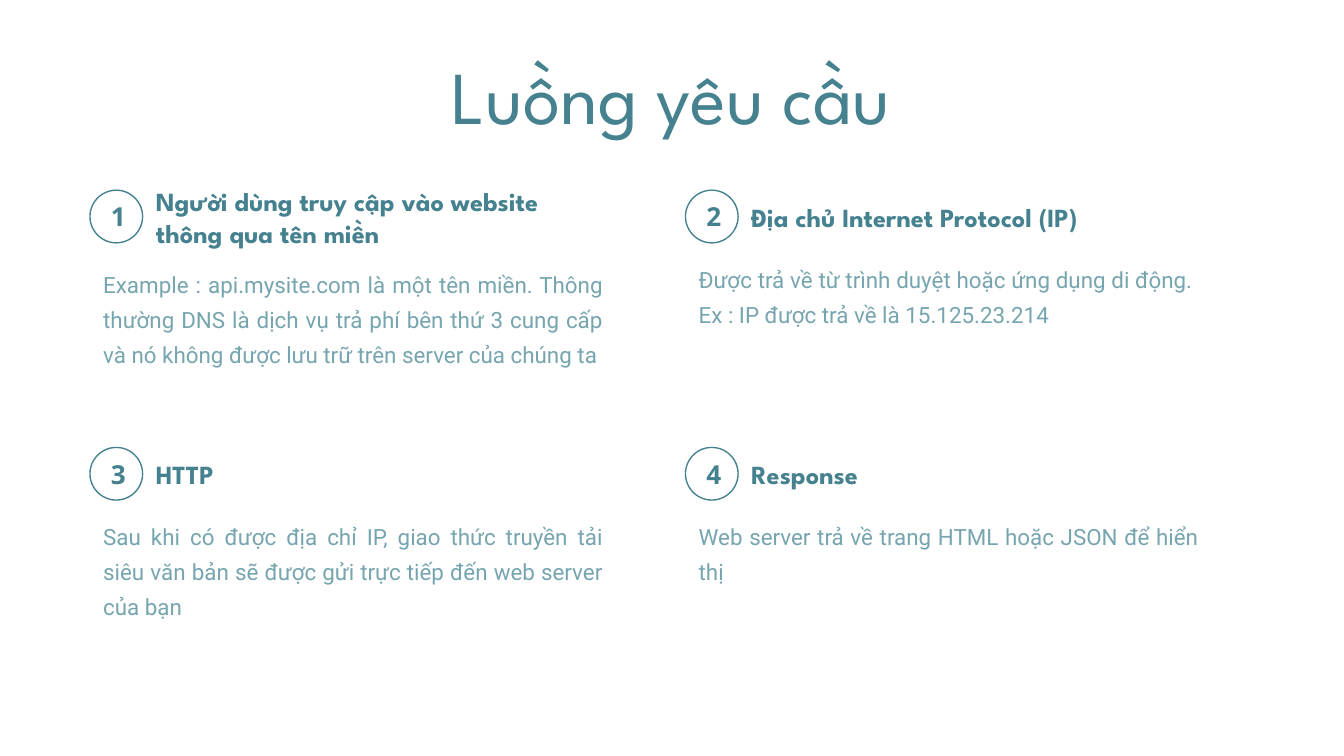
from pptx import Presentation
from pptx.dml.color import RGBColor
from pptx.enum.shapes import MSO_SHAPE
from pptx.enum.text import MSO_ANCHOR, PP_ALIGN
from pptx.util import Pt

# Content: heading, body, extra drop of the body
TITLE = "Luồng yêu cầu"
STEPS = [
    ("Người dùng truy cập vào website thông qua tên miền",
     "Example : api.mysite.com là một tên miền. Thông thường DNS là dịch vụ "
     "trả phí bên thứ 3 cung cấp và nó không được lưu trữ trên server của chúng ta", 3),
    ("Địa chủ Internet Protocol (IP)",
     "Được trả về từ trình duyệt hoặc ứng dụng di động. \v"
     "Ex : IP được trả về là 15.125.23.214", 0),
    ("HTTP",
     "Sau khi có được địa chỉ IP, giao thức truyền tải siêu văn bản sẽ được "
     "gửi trực tiếp đến web server của bạn", 0),
    ("Response", "Web server trả về trang HTML hoặc JSON để hiển thị", 0),
]

DARK = RGBColor(0x45, 0x81, 0x8E)
LIGHT = RGBColor(0x76, 0xA5, 0xAF)
WHITE = RGBColor(0xFF, 0xFF, 0xFF)

# Grid
LEFT, TOP = 48.2, 101.9
COL, ROW = 319, 137.8
RING = 28.2

deck = Presentation()
deck.slide_width, deck.slide_height = Pt(720), Pt(405)
slide = deck.slides.add_slide(deck.slide_layouts[6])
slide.background.fill.solid()
slide.background.fill.fore_color.rgb = WHITE


def write(shape, text, size, face, color, align, anchor, bold=False):
    frame = shape.text_frame
    frame.text = text
    frame.word_wrap = True
    frame.vertical_anchor = anchor
    frame.margin_left = frame.margin_right = Pt(7.2)
    frame.margin_top = frame.margin_bottom = Pt(7.2)
    para = frame.paragraphs[0]
    para.alignment = align
    for run in para.runs:
        font = run.font
        font.size, font.name, font.bold = Pt(size), face, bold
        font.color.rgb = color
    return para


def add_box(x, y, wide, high):
    return slide.shapes.add_textbox(Pt(x), Pt(y), Pt(wide), Pt(high))


# Title
write(add_box(40.3, 11.5, 638.6, 70.6), TITLE, 40, "League Spartan", DARK,
      PP_ALIGN.CENTER, MSO_ANCHOR.BOTTOM)

# Steps: body, heading and numbered ring
for i, (head, body, drop) in enumerate(STEPS):
    x = LEFT + i % 2 * COL
    y = TOP + i // 2 * ROW

    para = write(add_box(x, y + 29 + drop, 282.2, 101.5), body, 12, "Roboto",
                 LIGHT, PP_ALIGN.JUSTIFY, MSO_ANCHOR.TOP)
    para.line_spacing = 1.3

    write(add_box(x + RING, y - 0.4, 229.7, 29.5), head, 14, "League Spartan",
          DARK, PP_ALIGN.LEFT, MSO_ANCHOR.MIDDLE, True)

    ring = slide.shapes.add_shape(MSO_SHAPE.OVAL, Pt(x), Pt(y), Pt(RING), Pt(RING))
    ring.shadow.inherit = False
    ring.fill.background()
    ring.line.color.rgb = DARK
    ring.line.width = Pt(0.75)
    write(ring, str(i + 1), 14, "Noto Sans", DARK, PP_ALIGN.CENTER,
          MSO_ANCHOR.MIDDLE, True)

deck.save("out.pptx")
